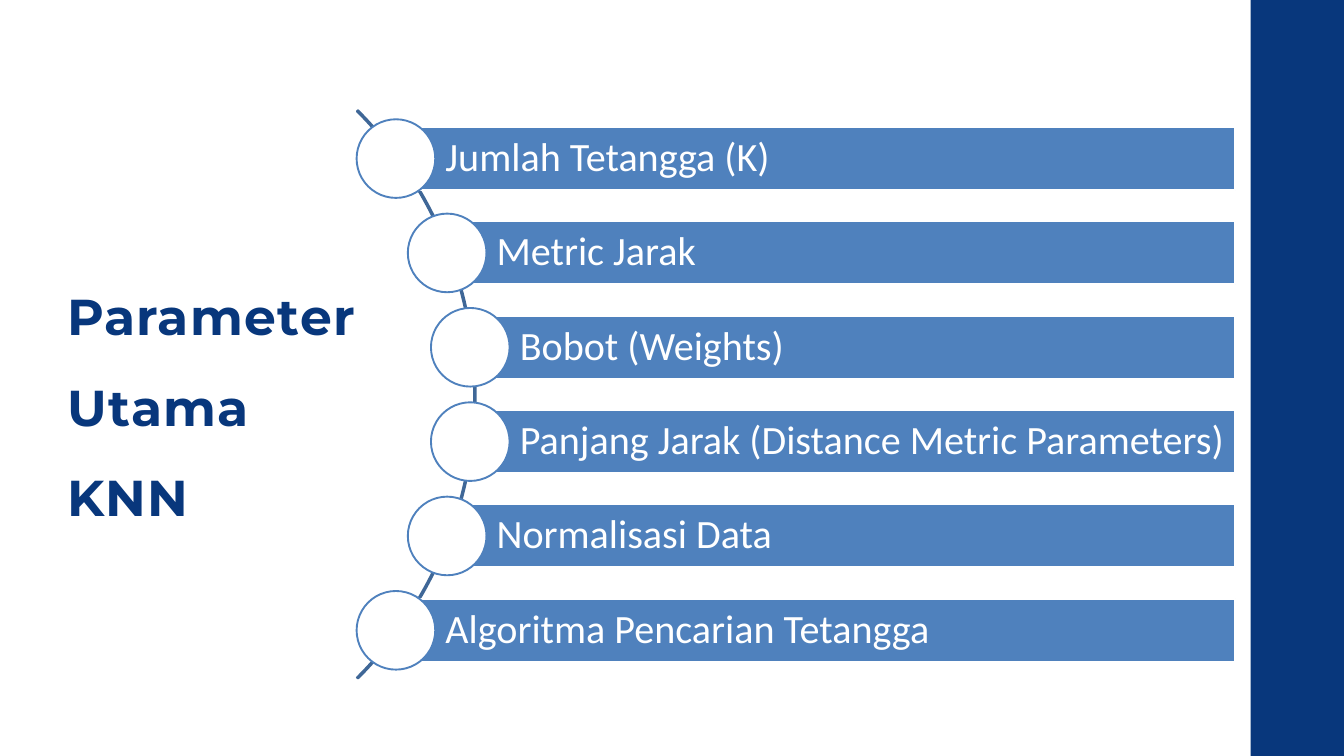
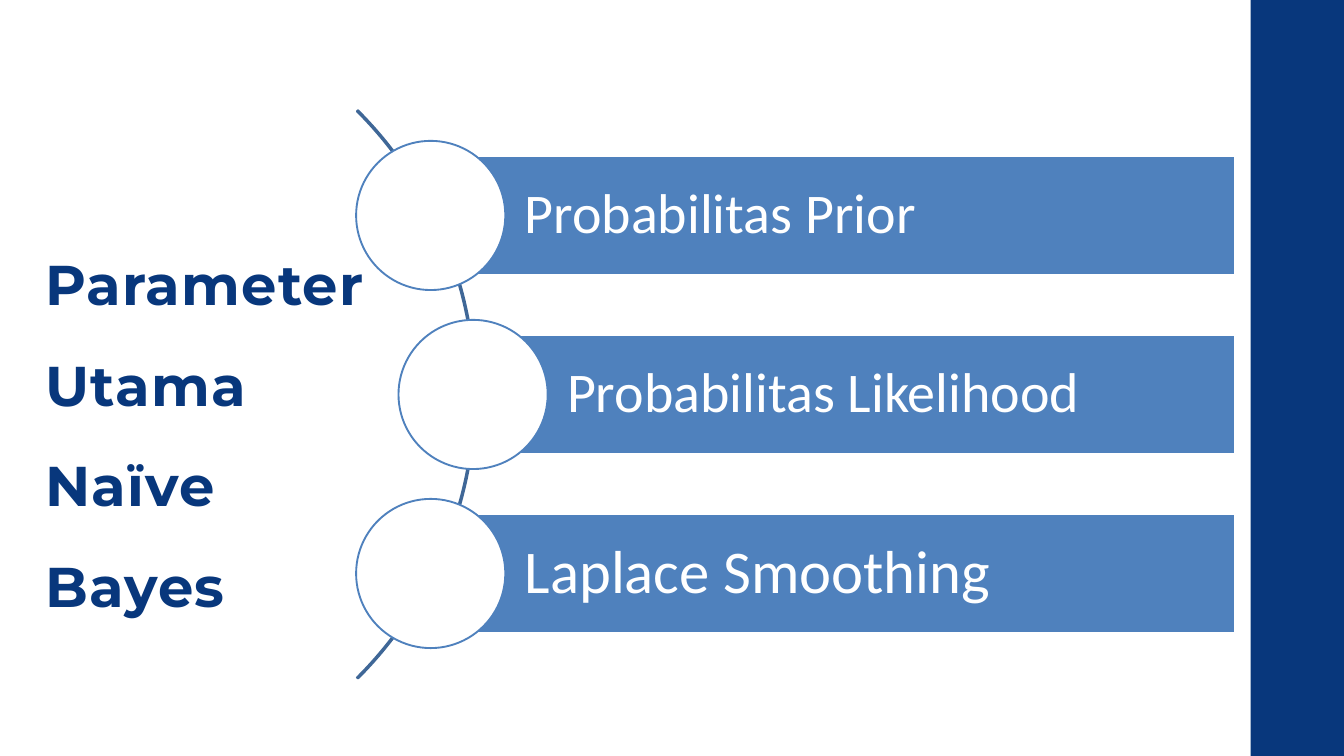
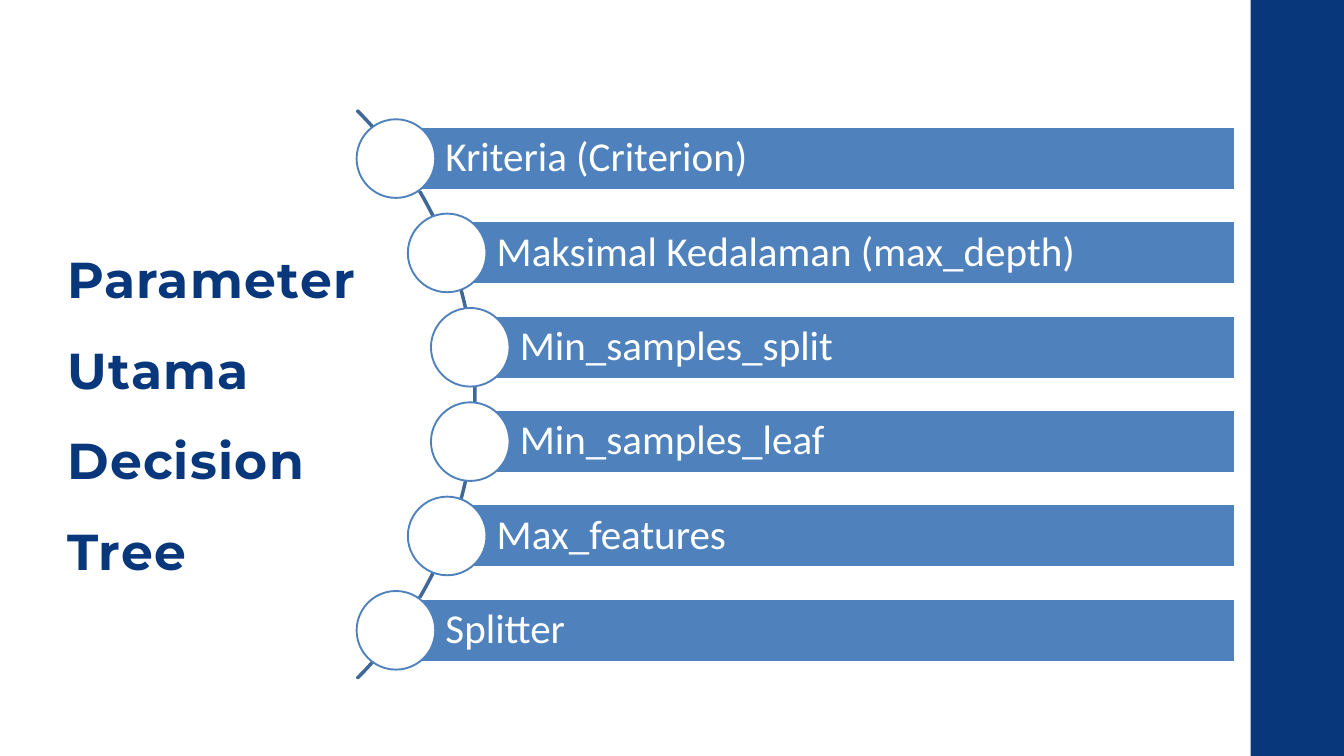
from dataclasses import dataclass
from math import sqrt

from pptx import Presentation
from pptx.dml.color import RGBColor
from pptx.enum.shapes import MSO_SHAPE
from pptx.enum.text import MSO_ANCHOR, MSO_AUTO_SIZE, PP_ALIGN
from pptx.util import Inches, Pt

NAVY = RGBColor(0x08, 0x37, 0x7C)
BLUE = RGBColor(0x4F, 0x81, 0xBD)
ARC_BLUE = RGBColor(0x3F, 0x67, 0x97)
WHITE = RGBColor(0xFF, 0xFF, 0xFF)

SLIDE_WIDTH, SLIDE_HEIGHT = 20, 11.25
BAND_LEFT = 18.61
BAR_RIGHT = 18.38
ARC_X, ARC_Y, ARC_RADIUS = 1.1, 5.87, 5.98
BALL_TRACK_RADIUS = 5.94


@dataclass(frozen=True)
class Heading:
    text: str
    left: float
    top: float
    width: float
    height: float
    size: float


@dataclass(frozen=True)
class Parameter:
    text: str
    size: float


@dataclass(frozen=True)
class ParameterSlide:
    heading: Heading
    parameters: list[Parameter]
    ball: float
    padding: float


SLIDES = [
    ParameterSlide(
        Heading("Parameter Utama KNN", 1, 3.79, 4.33, 4.09, 54),
        [Parameter(text, 43) for text in (
            "Jumlah Tetangga (K)",
            "Metric Jarak",
            "Bobot (Weights)",
            "Panjang Jarak (Distance Metric Parameters)",
            "Normalisasi Data",
            "Algoritma Pencarian Tetangga",
        )],
        ball=1.17, padding=0.12,
    ),
    ParameterSlide(
        Heading("Parameter Utama Naïve Bayes", 0.67, 3.21, 4.92, 5.84, 60),
        [
            Parameter("Probabilitas Prior", 60),
            Parameter("Probabilitas Likelihood", 60),
            Parameter("Laplace Smoothing", 65),
        ],
        ball=2.22, padding=0.17,
    ),
    ParameterSlide(
        Heading("Parameter Utama Decision Tree", 1, 3.24, 4.33, 5.26, 54),
        [Parameter(text, 44) for text in (
            "Kriteria (Criterion)",
            "Maksimal Kedalaman (max_depth)",
            "Min_samples_split",
            "Min_samples_leaf",
            "Max_features",
            "Splitter",
        )],
        ball=1.17, padding=0.12,
    ),
]


def write(shape, text: str, *, size: float, font: str, color: RGBColor,
          bold: bool = False, line_spacing: float = 1, tracking: float = 0,
          anchor=MSO_ANCHOR.MIDDLE, insets=(0, 0, 0, 0)) -> None:
    """Insets run left, top, right, bottom, in inches."""
    frame = shape.text_frame
    frame.word_wrap = True
    frame.vertical_anchor = anchor
    (frame.margin_left, frame.margin_top,
     frame.margin_right, frame.margin_bottom) = map(Inches, insets)
    paragraph = frame.paragraphs[0]
    paragraph.alignment = PP_ALIGN.LEFT
    paragraph.line_spacing = line_spacing
    run = paragraph.add_run()
    run.text = text
    run.font.name = font
    run.font.size = Pt(size)
    run.font.bold = bold
    run.font.color.rgb = color
    if tracking:
        run._r.get_or_add_rPr().set("spc", str(round(tracking * 100)))


def add_preset(slide, preset, left: float, top: float, width: float,
               height: float, fill: RGBColor | None = None,
               line: RGBColor | None = None):
    shape = slide.shapes.add_shape(
        preset, Inches(left), Inches(top), Inches(width), Inches(height))
    shape.shadow.inherit = False
    if fill is None:
        shape.fill.background()
    else:
        shape.fill.solid()
        shape.fill.fore_color.rgb = fill
    if line is None:
        shape.line.fill.background()
    else:
        shape.line.color.rgb = line
        shape.line.width = Pt(2)
    return shape


def add_heading(slide, heading: Heading) -> None:
    title = slide.shapes.title
    title.left, title.top = Inches(heading.left), Inches(heading.top)
    title.width, title.height = Inches(heading.width), Inches(heading.height)
    write(title, heading.text, size=heading.size, font="Montserrat", color=NAVY,
          bold=True, line_spacing=1.5, tracking=1.4, anchor=MSO_ANCHOR.TOP)
    title.text_frame.auto_size = MSO_AUTO_SIZE.SHAPE_TO_FIT_TEXT


def add_arc(slide) -> None:
    arc = add_preset(slide, MSO_SHAPE.BLOCK_ARC, ARC_X - ARC_RADIUS,
                     ARC_Y - ARC_RADIUS, 2 * ARC_RADIUS, 2 * ARC_RADIUS,
                     line=ARC_BLUE)
    # Angles of 315 and 45 degrees, then the thickness of the ring
    for index, value in enumerate((189, 27, 0.002)):
        arc.adjustments[index] = value


def add_parameters(slide, content: ParameterSlide) -> None:
    """Bars spaced evenly down the arc, each starting at a ball centred on it."""
    ball, padding = content.ball, content.padding
    pitch, bar_height = 1.2 * ball, 0.8 * ball
    middle = (len(content.parameters) - 1) / 2
    for index, parameter in enumerate(content.parameters):
        offset = (index - middle) * pitch
        x = ARC_X + sqrt(BALL_TRACK_RADIUS ** 2 - offset ** 2)
        y = ARC_Y + offset
        bar = add_preset(slide, MSO_SHAPE.RECTANGLE, x, y - bar_height / 2,
                         BAR_RIGHT - x, bar_height, fill=BLUE, line=WHITE)
        write(bar, parameter.text, size=parameter.size, font="Calibri",
              color=WHITE, line_spacing=0.9,
              insets=(0.63 * ball, padding, padding, padding))
        add_preset(slide, MSO_SHAPE.OVAL, x - ball / 2, y - ball / 2,
                   ball, ball, fill=WHITE, line=BLUE)


def main() -> None:
    deck = Presentation()
    deck.slide_width = Inches(SLIDE_WIDTH)
    deck.slide_height = Inches(SLIDE_HEIGHT)
    title_only = deck.slide_layouts[5]
    for content in SLIDES:
        slide = deck.slides.add_slide(title_only)
        add_preset(slide, MSO_SHAPE.RECTANGLE, BAND_LEFT, 0,
                   SLIDE_WIDTH - BAND_LEFT, SLIDE_HEIGHT, fill=NAVY)
        add_arc(slide)
        add_parameters(slide, content)
        add_heading(slide, content.heading)
    deck.save("out.pptx")


if __name__ == "__main__":
    main()
